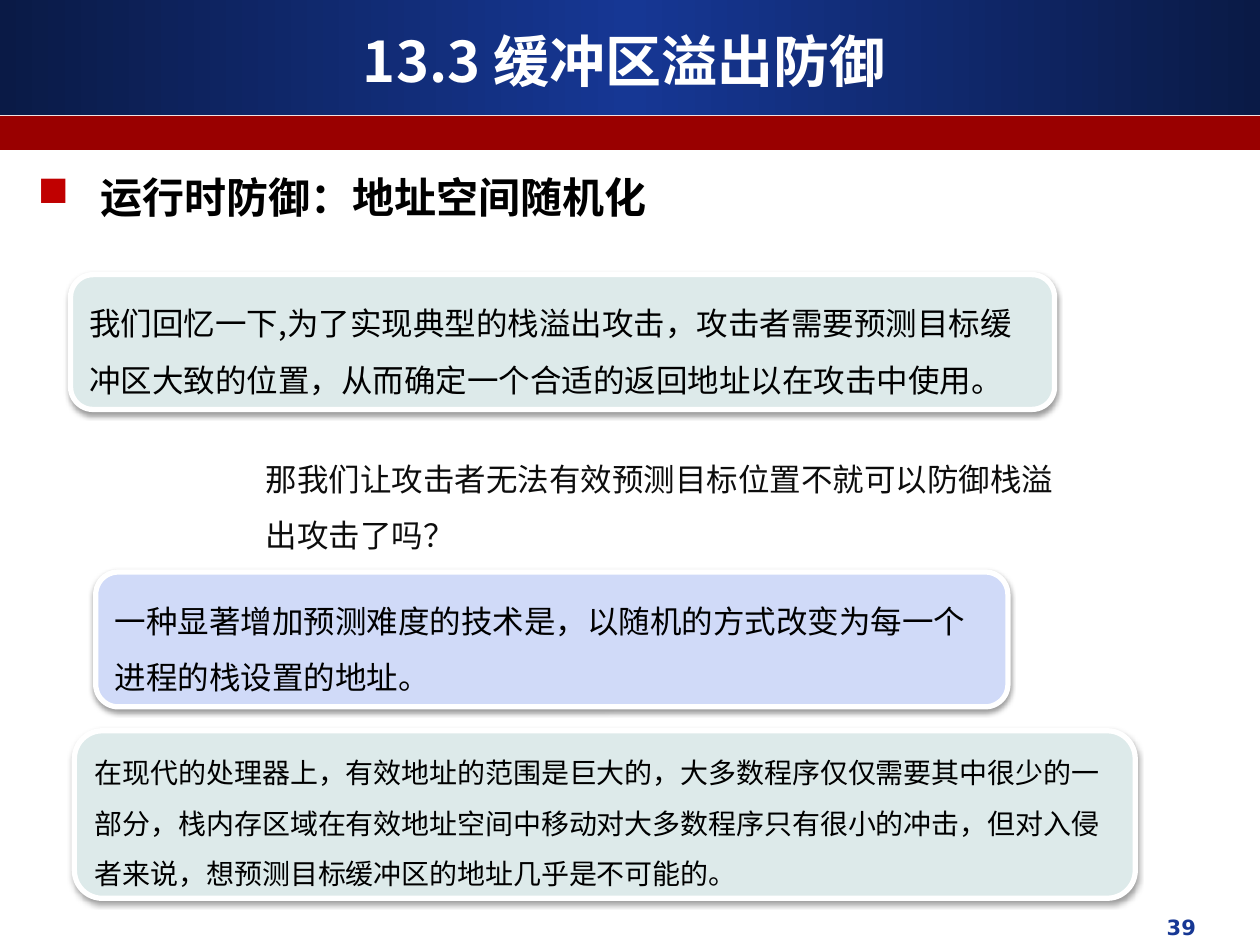
import copy

import pptx
import pptx.dml.color
import pptx.enum.shapes
import pptx.enum.text
import pptx.oxml
import pptx.oxml.ns
import pptx.util

Inches = pptx.util.Inches
Pt = pptx.util.Pt
RGBColor = pptx.dml.color.RGBColor
SHAPE = pptx.enum.shapes.MSO_SHAPE
ALIGN = pptx.enum.text.PP_ALIGN
ANCHOR = pptx.enum.text.MSO_ANCHOR
qn = pptx.oxml.ns.qn

WHITE = RGBColor(0xFF, 0xFF, 0xFF)
BLACK = RGBColor(0x00, 0x00, 0x00)
NEAR_BLACK = RGBColor(0x0D, 0x0D, 0x0D)
NAVY = RGBColor(0x0A, 0x1A, 0x46)
BLUE = RGBColor(0x16, 0x37, 0x94)
DARK_RED = RGBColor(0x99, 0x00, 0x00)
PALE_GREEN = RGBColor(0xDD, 0xEA, 0xEA)
PALE_BLUE = RGBColor(0xD0, 0xDA, 0xF8)

CHINESE_FONT = "Noto Sans CJK SC"
NUMBER_FONT = "DejaVu Sans"

CARDS = [
    ((0.56, 2.18, 7.81, 1.07), PALE_GREEN, 18,
     "我们回忆一下,为了实现典型的栈溢出攻击，攻击者需要预测目标缓冲区大致的位置，从而确定一个合适的返回地址以在攻击中使用。"),
    ((0.76, 4.54, 7.24, 1.07), PALE_BLUE, 18,
     "一种显著增加预测难度的技术是，以随机的方式改变为每一个进程的栈设置的地址。"),
    ((0.59, 5.8, 8.42, 1.33), PALE_GREEN, 16,
     "在现代的处理器上，有效地址的范围是巨大的，大多数程序仅仅需要其中很少的一部分，栈内存区域在有效地址空间中移动对大多数程序只有很小的冲击，但对入侵者来说，想预测目标缓冲区的地址几乎是不可能的。"),
]


def parse_drawing(tag, attributes, content=""):
    namespace = pptx.oxml.ns.nsdecls("a")
    return pptx.oxml.parse_xml(
        f"<a:{tag} {namespace} {attributes}>{content}</a:{tag}>")


def write_text(shape, text, size, color, bold=False, font=CHINESE_FONT,
               align=ALIGN.LEFT, anchor=ANCHOR.TOP, spacing=None):
    frame = shape.text_frame
    frame.word_wrap = True
    frame.vertical_anchor = anchor
    paragraph = frame.paragraphs[0]
    paragraph.alignment = align
    if spacing:
        paragraph.line_spacing = spacing
    run = paragraph.add_run()
    run.text = text
    run.font.size = Pt(size)
    run.font.bold = bold
    run.font.color.rgb = color
    run.font.name = font
    run.font._element.append(parse_drawing("ea", f'typeface="{font}"'))
    return paragraph


def add_text(slide, box, text, size, color, **style):
    shape = slide.shapes.add_textbox(*map(Inches, box))
    return write_text(shape, text, size, color, **style)


def add_band(slide, top, height, color):
    band = slide.shapes.add_shape(
        SHAPE.RECTANGLE, 0, Inches(top), Inches(10), Inches(height))
    band.shadow.inherit = False
    band.line.fill.background()
    band.fill.solid()
    band.fill.fore_color.rgb = color
    return band


def shade_band(band, edge, center):
    band.fill.gradient()
    band.fill.gradient_angle = 0
    for stop in band.fill.gradient_stops:
        stop.color.rgb = edge
    stop_list = next(band._element.spPr.iter(qn("a:gsLst")))
    stop_list.insert(1, copy.deepcopy(stop_list[0]))
    middle = band.fill.gradient_stops[1]
    middle.position = 0.5
    middle.color.rgb = center


def add_bullet(paragraph, character, color, indent):
    properties = paragraph._p.get_or_add_pPr()
    properties.set("marL", str(Inches(indent)))
    properties.set("indent", str(-Inches(indent)))
    properties.append(parse_drawing("buClr", "", f'<a:srgbClr val="{color}"/>'))
    properties.append(parse_drawing("buChar", f'char="{character}"'))


def add_card(slide, box, color, size, text):
    card = slide.shapes.add_shape(SHAPE.ROUNDED_RECTANGLE, *map(Inches, box))
    card.fill.solid()
    card.fill.fore_color.rgb = color
    card.line.color.rgb = WHITE
    card.line.width = Pt(3)
    card.shadow.inherit = False
    card._element.spPr.find(qn("a:effectLst")).append(parse_drawing(
        "outerShdw",
        f'blurRad="{Pt(3.1)}" dist="{Pt(1.6)}" dir="5400000" rotWithShape="0"',
        '<a:srgbClr val="000000"><a:alpha val="38000"/></a:srgbClr>'))
    write_text(card, text, size, BLACK, anchor=ANCHOR.MIDDLE, spacing=1.5)


def main():
    presentation = pptx.Presentation()
    presentation.slide_width = Inches(10)
    presentation.slide_height = Inches(7.5)
    slide = presentation.slides.add_slide(presentation.slide_layouts[6])

    header = add_band(slide, 0, 0.91, BLUE)
    shade_band(header, NAVY, BLUE)
    add_band(slide, 0.92, 0.27, DARK_RED)
    add_text(slide, (0.33, 0.17, 9.25, 0.62), "13.3 缓冲区溢出防御", 32, WHITE,
             bold=True, align=ALIGN.CENTER, anchor=ANCHOR.MIDDLE)
    add_text(slide, (6.42, 7.21, 3.17, 0.35), "39", 12, BLUE,
             bold=True, font=NUMBER_FONT, align=ALIGN.RIGHT)

    heading = add_text(slide, (0.2, 1.31, 7.01, 0.5),
                       "运行时防御：地址空间随机化", 24, BLACK, bold=True)
    add_bullet(heading, "■", "C00000", 0.5)

    add_text(slide, (2.01, 3.45, 6.56, 0.96),
             "那我们让攻击者无法有效预测目标位置不就可以防御栈溢出攻击了吗？",
             18, NEAR_BLACK, spacing=1.5)
    for card in CARDS:
        add_card(slide, *card)

    presentation.save("out.pptx")


if __name__ == "__main__":
    main()
